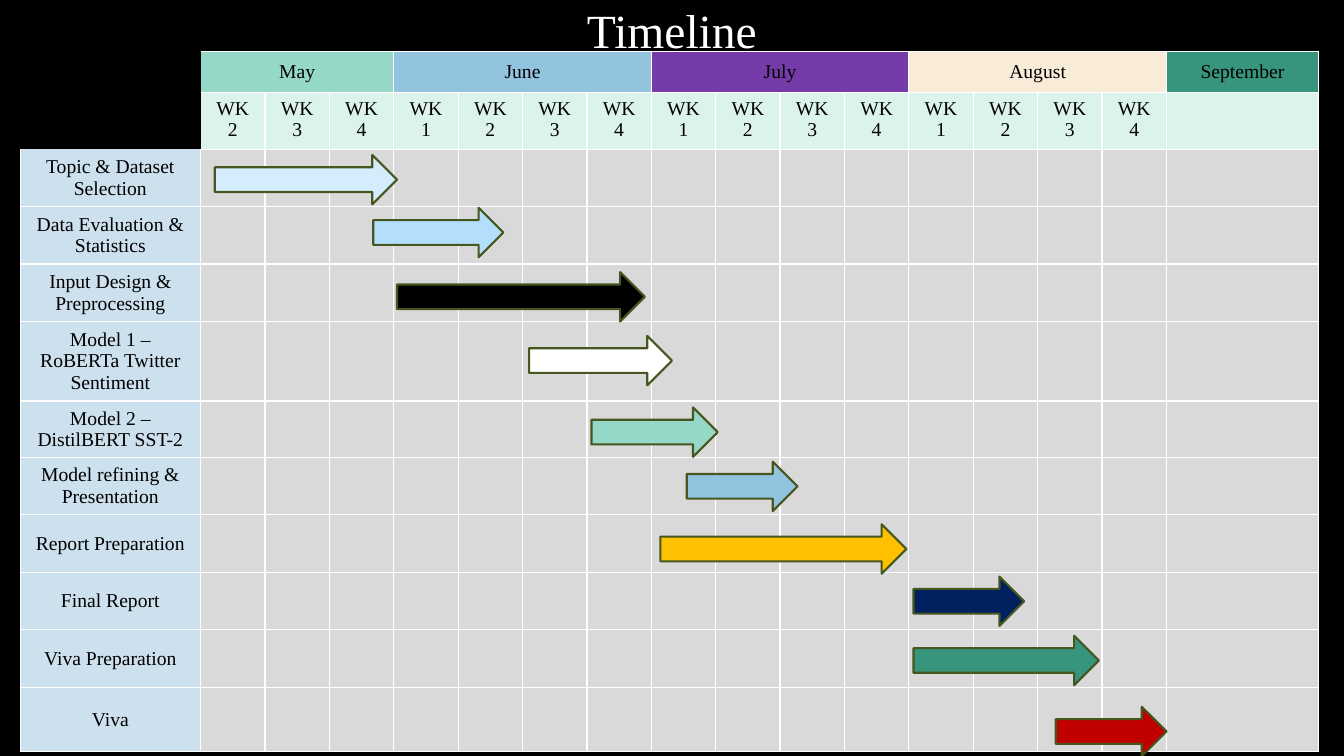
from dataclasses import dataclass
from itertools import accumulate
from typing import Any, NamedTuple

from lxml.etree import SubElement
from pptx import Presentation
from pptx.dml.color import RGBColor
from pptx.enum.shapes import MSO_SHAPE
from pptx.enum.text import MSO_ANCHOR, PP_ALIGN
from pptx.oxml.ns import qn
from pptx.util import Inches, Pt


@dataclass(frozen=True)
class Theme:
    font: str = "Times New Roman"
    title_size: int = 34
    table_size: int = 14
    border_width: int = 1
    outline_width: float = 1.5
    black: str = "000000"
    white: str = "FFFFFF"
    mint: str = "96D8C8"
    blue: str = "92C4E0"
    purple: str = "743BA9"
    cream: str = "F8EBD8"
    green: str = "37947D"
    week: str = "DCF2ED"
    task: str = "CCE0EE"
    grid: str = "D9D9D9"
    outline: str = "45561E"


class Month(NamedTuple):
    name: str
    weeks: tuple[str, ...]
    color: str


class Task(NamedTuple):
    """A grid row; start and length count weeks, drop is a share of the row height."""
    label: str
    height: float
    start: float
    length: float
    drop: float
    color: str


THEME = Theme()
SLIDE_WIDTH, SLIDE_HEIGHT = 13.33, 7.5
TABLE_LEFT, TABLE_TOP = 0.2, 0.51
HEADER_HEIGHTS = [0.41, 0.56]
LABEL_WIDTH, SEPTEMBER_WIDTH = 1.79, 1.51
WEEK_COUNT = 15
WEEK_WIDTH = 9.58 / WEEK_COUNT
ARROW_HEIGHT = 0.49

FULL_MONTH = ("WK 1", "WK 2", "WK 3", "WK 4")
MONTHS = [
    Month("May", FULL_MONTH[1:], THEME.mint),
    Month("June", FULL_MONTH, THEME.blue),
    Month("July", FULL_MONTH, THEME.purple),
    Month("August", FULL_MONTH, THEME.cream),
    Month("September", ("",), THEME.green),
]
TASKS = [
    Task("Topic & Dataset Selection", 0.57, 0.22, 2.83, 0.1, "D5ECFD"),
    Task("Data Evaluation & Statistics", 0.57, 2.68, 2.02, 0.02, "B3DEFC"),
    Task("Input Design & Preprocessing", 0.57, 3.05, 3.85, 0.14, THEME.black),
    Task("Model 1 – RoBERTa Twitter Sentiment", 0.79, 5.1, 2.22, 0.18, THEME.white),
    Task("Model 2 – DistilBERT SST-2", 0.56, 6.07, 1.96, 0.11, THEME.mint),
    Task("Model refining & Presentation", 0.57, 7.55, 1.72, 0.07, THEME.blue),
    Task("Report Preparation", 0.57, 7.14, 3.82, 0.16, "FFC000"),
    Task("Final Report", 0.57, 11.07, 1.72, 0.07, "002060"),
    Task("Viva Preparation", 0.57, 11.07, 2.88, 0.1, THEME.green),
    Task("Viva", 0.64, 13.28, 1.72, 0.3, "C00000"),
]
COLUMN_WIDTHS = [LABEL_WIDTH] + [WEEK_WIDTH] * WEEK_COUNT + [SEPTEMBER_WIDTH]
ROW_HEIGHTS = HEADER_HEIGHTS + [task.height for task in TASKS]


def apply_format(target: Any, values: dict[str, Any]) -> None:
    for name, value in values.items():
        setattr(target, name, value)


def write_text(frame: Any, text: str, size: int, color: str) -> None:
    frame.text = text
    paragraph = frame.paragraphs[0]
    paragraph.alignment = PP_ALIGN.CENTER
    apply_format(paragraph.font, {"name": THEME.font, "size": Pt(size), "bold": False})
    paragraph.font.color.rgb = RGBColor.from_string(color)


def draw_borders(cell: Any, row: int, column: int) -> None:
    """Outline a cell in white, leaving the empty top-left corner open."""
    corner = row < 2 and column == 0
    open_sides = {
        "L": corner or (row < 2 and column == 1),
        "R": corner,
        "T": corner or (row == 2 and column == 0),
        "B": corner,
    }
    properties = cell._tc.get_or_add_tcPr()
    for side, is_open in open_sides.items():
        line = SubElement(properties, qn(f"a:ln{side}"), w=str(Pt(THEME.border_width)))
        if is_open:
            SubElement(line, qn("a:noFill"))
        else:
            fill = SubElement(line, qn("a:solidFill"))
            SubElement(fill, qn("a:srgbClr"), val=THEME.white)


def fill_cell(cell: Any, color: str, text: str = "", anchor: Any = MSO_ANCHOR.MIDDLE) -> None:
    cell.fill.solid()
    cell.fill.fore_color.rgb = RGBColor.from_string(color)
    if text:
        cell.vertical_anchor = anchor
        write_text(cell.text_frame, text, THEME.table_size, THEME.black)


def add_title(slide: Any) -> None:
    title = slide.shapes.title
    apply_format(title, {
        "left": Inches(1.55), "top": Inches(-0.11),
        "width": Inches(10.23), "height": Inches(0.87),
    })
    title.text_frame.vertical_anchor = MSO_ANCHOR.MIDDLE
    write_text(title.text_frame, "Timeline", THEME.title_size, THEME.white)
    title.text_frame.paragraphs[0].line_spacing = 0.9


def add_schedule(slide: Any) -> None:
    table = slide.shapes.add_table(
        len(ROW_HEIGHTS), len(COLUMN_WIDTHS), Inches(TABLE_LEFT), Inches(TABLE_TOP),
        Inches(sum(COLUMN_WIDTHS)), Inches(sum(ROW_HEIGHTS)),
    ).table
    apply_format(table, {"first_row": False, "horz_banding": False})
    for column, width in zip(table.columns, COLUMN_WIDTHS):
        column.width = Inches(width)
    for row, height in zip(table.rows, ROW_HEIGHTS):
        row.height = Inches(height)
    for row in range(len(ROW_HEIGHTS)):
        for column in range(len(COLUMN_WIDTHS)):
            draw_borders(table.cell(row, column), row, column)

    for row in range(len(HEADER_HEIGHTS)):
        table.cell(row, 0).fill.background()
    first = 1
    for month in MONTHS:
        last = first + len(month.weeks) - 1
        if last > first:
            table.cell(0, first).merge(table.cell(0, last))
        fill_cell(table.cell(0, first), month.color, month.name)
        for column, week in enumerate(month.weeks, first):
            fill_cell(table.cell(1, column), THEME.week, week, MSO_ANCHOR.TOP)
        first = last + 1

    for row, task in enumerate(TASKS, len(HEADER_HEIGHTS)):
        fill_cell(table.cell(row, 0), THEME.task, task.label)
        for column in range(1, len(COLUMN_WIDTHS)):
            fill_cell(table.cell(row, column), THEME.grid)


def add_task_arrow(slide: Any, task: Task, row_top: float) -> None:
    arrow = slide.shapes.add_shape(
        MSO_SHAPE.RIGHT_ARROW,
        Inches(TABLE_LEFT + LABEL_WIDTH + task.start * WEEK_WIDTH),
        Inches(row_top + task.drop * task.height),
        Inches(task.length * WEEK_WIDTH), Inches(ARROW_HEIGHT),
    )
    arrow.shadow.inherit = False
    arrow.fill.solid()
    arrow.fill.fore_color.rgb = RGBColor.from_string(task.color)
    arrow.line.color.rgb = RGBColor.from_string(THEME.outline)
    arrow.line.width = Pt(THEME.outline_width)


def main() -> None:
    presentation = Presentation()
    apply_format(presentation, {
        "slide_width": Inches(SLIDE_WIDTH), "slide_height": Inches(SLIDE_HEIGHT),
    })
    slide = presentation.slides.add_slide(presentation.slide_layouts.get_by_name("Title Only"))
    slide.background.fill.solid()
    slide.background.fill.fore_color.rgb = RGBColor.from_string(THEME.black)
    add_title(slide)
    add_schedule(slide)
    row_tops = accumulate(ROW_HEIGHTS, initial=TABLE_TOP)
    for task, row_top in zip(TASKS, list(row_tops)[len(HEADER_HEIGHTS):]):
        add_task_arrow(slide, task, row_top)
    presentation.save("out.pptx")


if __name__ == "__main__":
    main()
